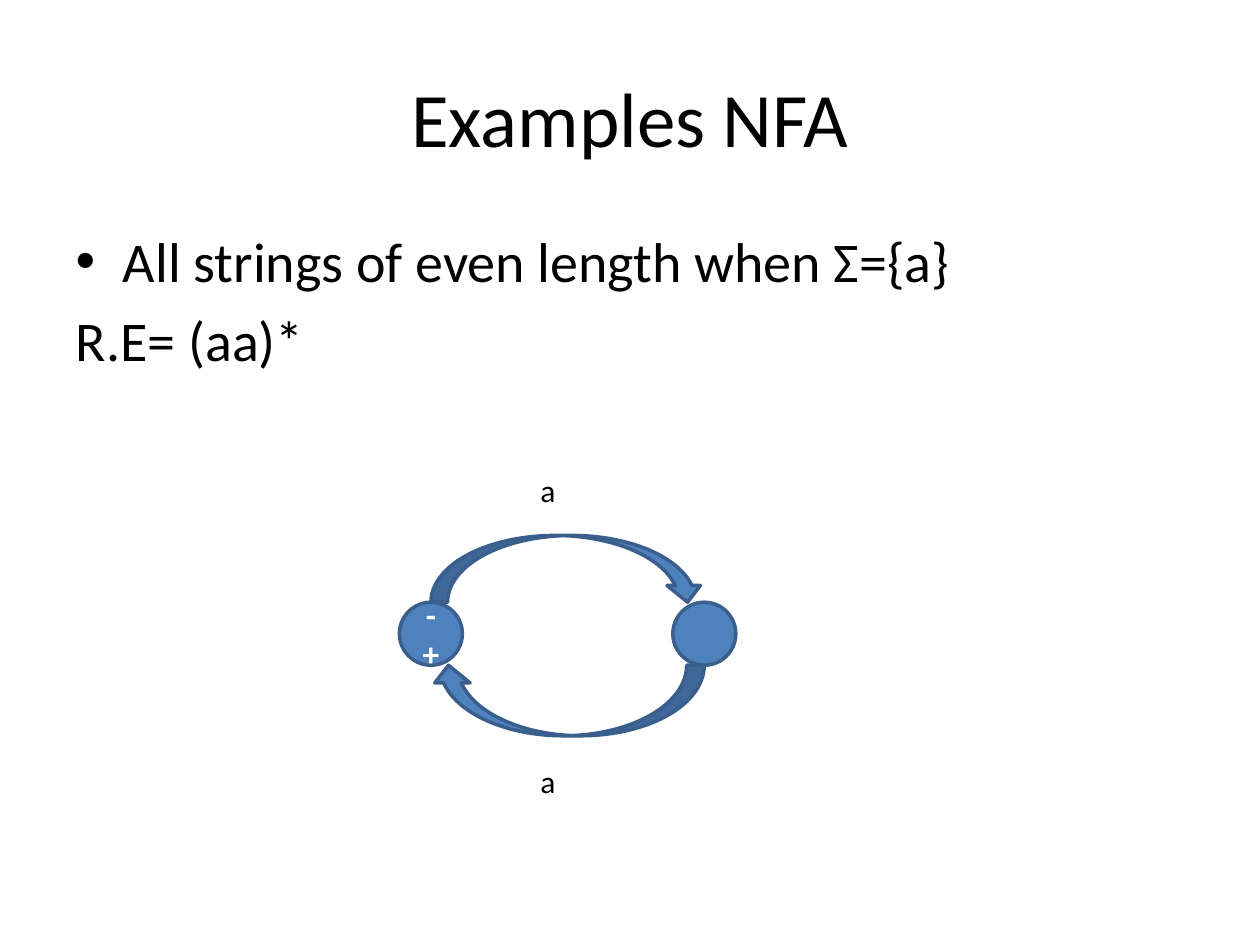
from lxml import etree
from pptx import Presentation
from pptx.dml.color import RGBColor
from pptx.enum.shapes import MSO_SHAPE
from pptx.enum.text import MSO_ANCHOR, PP_ALIGN
from pptx.oxml.ns import qn
from pptx.util import Inches, Pt

CIRCLE = MSO_SHAPE.OVAL
ARC_OVER = MSO_SHAPE.CURVED_DOWN_ARROW
ARC_UNDER = MSO_SHAPE.CURVED_UP_ARROW
CENTER = PP_ALIGN.CENTER
MIDDLE = MSO_ANCHOR.MIDDLE
BLACK, WHITE, BLUE, DARK_BLUE = "000000", "FFFFFF", "4F81BD", "3A5F8C"


def color(hex_value):
    """Turn a hex string into a colour."""
    return RGBColor.from_string(hex_value)


def set_font(paragraph, size, hex_value=BLACK, bold=False):
    """Format a whole paragraph."""
    font = paragraph.font
    font.name, font.size, font.bold = "Calibri", Pt(size), bold
    font.color.rgb = color(hex_value)


def place(shape, left, top, width, height):
    """Move and size a placeholder."""
    shape.left, shape.top = Inches(left), Inches(top)
    shape.width, shape.height = Inches(width), Inches(height)


def fill_title(title, text, box):
    """Write the slide title."""
    place(title, *box)
    title.text_frame.text = text
    title.text_frame.vertical_anchor = MIDDLE
    paragraph = title.text_frame.paragraphs[0]
    paragraph.alignment = CENTER
    set_font(paragraph, 44)


def fill_body(body, lines, box):
    """Write the body lines, each with or without a bullet."""
    place(body, *box)
    body.text_frame.text = "\n".join(text for text, _ in lines)
    for paragraph, (_, bulleted) in zip(body.text_frame.paragraphs, lines):
        set_font(paragraph, 32)
        if not bulleted:
            properties = paragraph._p.get_or_add_pPr()
            properties.set("marL", "0")
            properties.set("indent", "0")
            properties.insert_element_before(
                etree.Element(qn("a:buNone")), "a:tabLst", "a:defRPr", "a:extLst")


def add_blue_shape(slide, kind, left, top, width, height):
    """Add an outlined blue shape."""
    shape = slide.shapes.add_shape(
        kind, Inches(left), Inches(top), Inches(width), Inches(height))
    shape.shadow.inherit = False
    shape.fill.solid()
    shape.fill.fore_color.rgb = color(BLUE)
    shape.line.color.rgb = color(DARK_BLUE)
    shape.line.width = Pt(2)
    return shape


def add_state(slide, left, top, size, marks=""):
    """Add a state circle with its start and final marks."""
    state = add_blue_shape(slide, CIRCLE, left, top, size, size)
    if marks:
        frame = state.text_frame
        frame.text = marks
        frame.vertical_anchor = MIDDLE
        for paragraph in frame.paragraphs:
            paragraph.alignment = CENTER
            set_font(paragraph, 19, WHITE, True)


def add_label(slide, text, left, top):
    """Add a transition label."""
    label = slide.shapes.add_textbox(
        Inches(left), Inches(top), Inches(0.62), Inches(0.4))
    label.text_frame.word_wrap = True
    label.text_frame.text = text
    set_font(label.text_frame.paragraphs[0], 18)


def add_automaton(slide, left, top):
    """Draw two states joined by a transition each way."""
    size, gap = 0.5, 2.17
    add_state(slide, left, top, size, "-\n+")
    add_state(slide, left + gap, top, size)
    arc_left = left + size / 2
    add_blue_shape(slide, ARC_OVER, arc_left, top - 0.53, gap, 0.53)
    arc_back = add_blue_shape(slide, ARC_UNDER, arc_left, top + size, gap, 0.56)
    arc_back._element.spPr.find(qn("a:xfrm")).set("flipH", "1")
    for offset in (-1.09, 1.22):
        add_label(slide, "a", left + 1.02, top + offset)


def main():
    """Build and save the slide."""
    presentation = Presentation()
    presentation.slide_width, presentation.slide_height = Inches(10), Inches(7.5)
    slide = presentation.slides.add_slide(presentation.slide_layouts[1])
    fill_title(slide.shapes.title, "Examples NFA", (0.5, 0.3, 9, 1.25))
    lines = [("All strings of even length when Σ={a}", True), ("R.E= (aa)*", False)]
    fill_body(slide.placeholders[1], lines, (0.5, 1.75, 9, 4.95))
    add_automaton(slide, 3.17, 4.78)
    presentation.save("out.pptx")


main()
